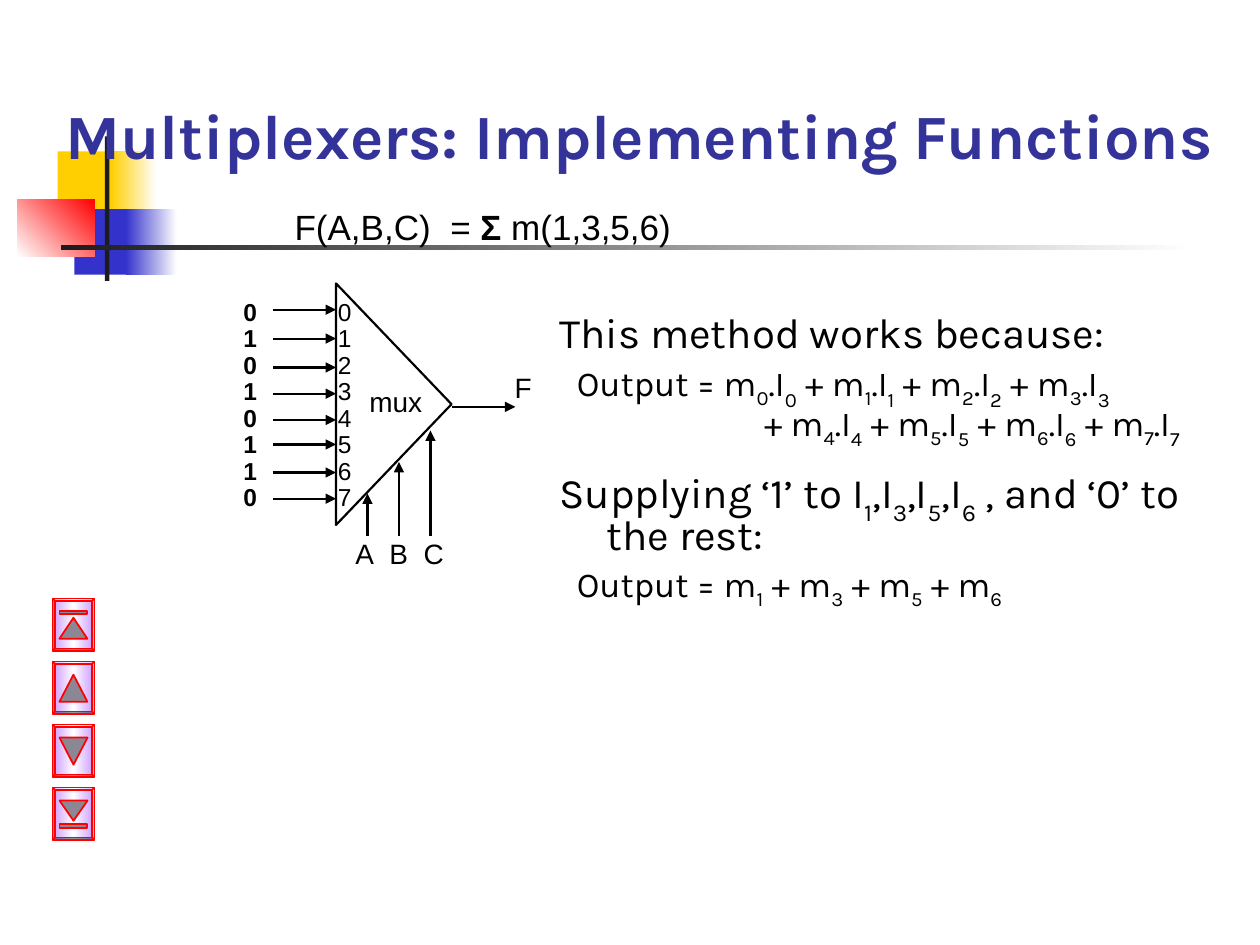
import pptx
import pptx.util
import pptx.dml.color
import pptx.enum.shapes
import pptx.enum.text
import pptx.oxml
import pptx.oxml.ns
from lxml import etree

Pt = pptx.util.Pt
SHAPE = pptx.enum.shapes.MSO_SHAPE
ANCHOR = pptx.enum.text.MSO_ANCHOR
FIT = pptx.enum.text.MSO_AUTO_SIZE
qn = pptx.oxml.ns.qn

COLORS = {
    "text": "000000", "title": "333399", "white": "FFFFFF", "gold": "FFCF01",
    "blue": "3333CC", "red": "FF0000", "dark": "1C1C1C", "lavender": "CC99FF",
    "icon": "8C8794",
}
TITLE = "Multiplexers: Implementing Functions"
DECOR = [
    ((33, 86.5, 34.5, 37.5), ["gold"], 0),
    ((63.5, 86.5, 26, 37.5), ["gold", "white"], 0),
    ((42.5, 119.5, 33, 37.5), ["blue"], 0),
    ((72, 119.5, 29, 37.5), ["blue", "white"], 0),
    ((10, 113.75, 44, 33), ["white", "red"], 45),
    ((60, 78, 2.5, 82.5), ["dark"], 0),
    ((34.75, 140.25, 648, 2.5), ["dark", "white"], 0),
]
HEAD = {"size": 24, "left": 27, "indent": -27}
BODY = [
    ("This method works because:", {**HEAD, "before": 0}),
    ("Output = m_0.I_0 + m_1.I_1 + m_2.I_2 + m_3.I_3",
     {"size": 20, "left": 10, "indent": 0, "before": 5}),
    ("+ m_4.I_4 + m_5.I_5 + m_6.I_6 + m_7.I_7",
     {"size": 20, "left": 117, "indent": 0, "before": 0}),
    ("Supplying ‘1’ to I_1,I_3,I_5,I_6 , and ‘0’ to the rest:",
     {**HEAD, "before": 15}),
    ("Output = m_1 + m_3 + m_5 + m_6",
     {"size": 20, "left": 10, "indent": 0, "before": 5}),
]
ARIAL = {"name": "Arial", "size": Pt(16)}
SMALL = {"name": "Arial", "size": Pt(14)}
LARGE = {"name": "Arial", "size": Pt(20)}
SPACE = (" ", {"name": "Times New Roman", "size": Pt(20)})
LABELS = [
    ((156.25, 113.75, 252, 31.5), [[SPACE, ("F(A,B,C)\t= ", LARGE),
     ("Σ", {**LARGE, "bold": True}), (" m(1,3,5,6)", LARGE)]], 1, [94]),
    ((204, 216, 54, 26.5), [[("mux", ARIAL)]], 1, []),
    ((196, 303, 72, 26.5), [[("A\tB\tC", ARIAL)]], 1, [19.5, 39]),
    ((186, 168, 30, 128), [[(str(n), SMALL)] for n in range(8)], 0.9, []),
    ((132, 168, 30, 128),
     [[(bit, {**SMALL, "bold": True})] for bit in "01010110"], 0.9, []),
    ((282, 204, 29, 31.5), [[SPACE, ("F", ARIAL)]], 1, []),
]
INPUT_YS = [177, 193.5, 210, 225, 240, 254, 270, 285]
ARROWS = [((156, y), (192, y)) for y in INPUT_YS]
ARROWS += [((210 + 18 * i, 306), (210 + 18 * i, 282 - 18 * i)) for i in range(3)]
ARROWS.append(((258.5, 232.5), (294.5, 232.5)))
BUTTONS = [
    {"tip": 11, "height": 12, "turn": 0, "bar": 7},
    {"tip": 7.5, "height": 15.5, "turn": 0, "bar": None},
    {"tip": 7.5, "height": 15.5, "turn": 180, "bar": None},
    {"tip": 7.5, "height": 11.5, "turn": 180, "bar": 21},
]


def rgb(name):
    """Return the named colour."""
    return pptx.dml.color.RGBColor.from_string(COLORS[name])


def put(obj, values):
    """Set every attribute in values on obj."""
    for key, value in values.items():
        setattr(obj, key, value)


def add_run(p, text, font, baseline=0):
    """Append a run with its font and baseline shift."""
    r = p.add_run()
    r.text = text
    put(r.font, font)
    r.font.color.rgb = rgb(font.get("tint", "text"))
    if baseline:
        r._r.get_or_add_rPr().set("baseline", str(baseline * 1000))


def paint(sp, names, angle=0):
    """Fill a shape with one colour or an even gradient."""
    if len(names) == 1:
        sp.fill.solid()
        sp.fill.fore_color.rgb = rgb(names[0])
        return
    sp.fill.gradient()
    sp.fill.gradient_angle = angle
    stops = sp._element.spPr.find(qn("a:gradFill")).find(qn("a:gsLst"))
    for old in list(stops):
        stops.remove(old)
    for i, name in enumerate(names):
        gs = etree.SubElement(stops, qn("a:gs"), pos=str(100000 * i // (len(names) - 1)))
        etree.SubElement(gs, qn("a:srgbClr"), val=COLORS[name])


def add_shape(s, kind, box, names=None, angle=0, line=None, width=1, turn=0):
    """Add a preset shape without shadow."""
    sp = s.shapes.add_shape(kind, *map(Pt, box))
    sp.shadow.inherit = False
    sp.rotation = turn
    if names:
        paint(sp, names, angle)
    else:
        sp.fill.background()
    if line:
        sp.line.color.rgb = rgb(line)
        sp.line.width = Pt(width)
    else:
        sp.line.fill.background()
    return sp


def add_arrow(s, start, end):
    """Add a black arrow from start to end."""
    c = s.shapes.add_connector(pptx.enum.shapes.MSO_CONNECTOR.STRAIGHT,
                               *map(Pt, start + end))
    c.line.color.rgb = rgb("text")
    c.line.width = Pt(1.25)
    etree.SubElement(c.line._get_or_add_ln(), qn("a:tailEnd"), type="triangle")
    etree.SubElement(c._element.spPr, qn("a:effectLst"))


def add_label(s, box, lines, spacing, tabs):
    """Add a text box of runs with optional tab stops."""
    tf = s.shapes.add_textbox(*map(Pt, box)).text_frame
    tf.word_wrap = True
    for i, runs in enumerate(lines):
        p = tf.add_paragraph() if i else tf.paragraphs[0]
        p.line_spacing = spacing
        if tabs:
            tab_list = etree.SubElement(p._p.get_or_add_pPr(), qn("a:tabLst"))
            for tab in tabs:
                etree.SubElement(tab_list, qn("a:tab"), pos=str(Pt(tab)), algn="l")
        for text, font in runs:
            add_run(p, text, font)


def add_body(s):
    """Add the explanation with its subscripts."""
    tf = s.shapes.add_textbox(*map(Pt, (312.5, 177, 384, 210))).text_frame
    tf.word_wrap = True
    for i, (text, style) in enumerate(BODY):
        p = tf.add_paragraph() if i else tf.paragraphs[0]
        put(p, {"line_spacing": 0.8, "space_before": Pt(style["before"])})
        pPr = p._p.get_or_add_pPr()
        pPr.set("marL", str(Pt(style["left"])))
        pPr.set("indent", str(Pt(style["indent"])))
        font = {"name": "Karla", "size": Pt(style["size"])}
        first, *rest = text.split("_")
        add_run(p, first, font)
        before = first
        for part in rest:
            add_run(p, part[0], font, -25 if before.endswith("m") else -30)
            if part[1:]:
                add_run(p, part[1:], font)
            before = part


def add_button(s, top, tip, height, turn, bar):
    """Add a bevelled navigation button with its icon."""
    sp = add_shape(s, SHAPE.BEVEL, (27, top + 3, 30, 24),
                   ["lavender", "white", "lavender"], 270, "red", 1, 90)
    sp.adjustments[0] = 0.06
    add_shape(s, SHAPE.ISOSCELES_TRIANGLE, (34, top + tip, 16, height),
              ["icon"], line="red", turn=turn)
    if bar is not None:
        add_shape(s, SHAPE.RECTANGLE, (34, top + bar, 16, 2), ["icon"], line="red")


def main():
    """Build the multiplexer slide."""
    prs = pptx.Presentation()
    put(prs, {"slide_width": Pt(720), "slide_height": Pt(540)})
    s = prs.slides.add_slide(prs.slide_layouts[5])
    for box, names, angle in DECOR:
        add_shape(s, SHAPE.RECTANGLE, box, names, angle)
    title = s.shapes.title
    put(title, dict(zip(("left", "top", "width", "height"), map(Pt, (30, 12, 672, 90)))))
    tf = title.text_frame
    put(tf, {"vertical_anchor": ANCHOR.BOTTOM, "auto_size": FIT.NONE, "word_wrap": True})
    p = tf.paragraphs[0]
    p.alignment = pptx.enum.text.PP_ALIGN.LEFT
    add_run(p, TITLE, {"name": "Karla", "size": Pt(36), "bold": True, "tint": "title"})
    s.shapes._spTree.append(title._element)
    add_body(s)
    add_shape(s, SHAPE.ISOSCELES_TRIANGLE, (156, 198, 138, 66),
              line="text", width=1.25, turn=90)
    for start, end in ARROWS:
        add_arrow(s, start, end)
    for label in LABELS:
        add_label(s, *label)
    for i, button in enumerate(BUTTONS):
        add_button(s, 342 + 36 * i, **button)
    prs.save("out.pptx")


if __name__ == "__main__":
    main()
